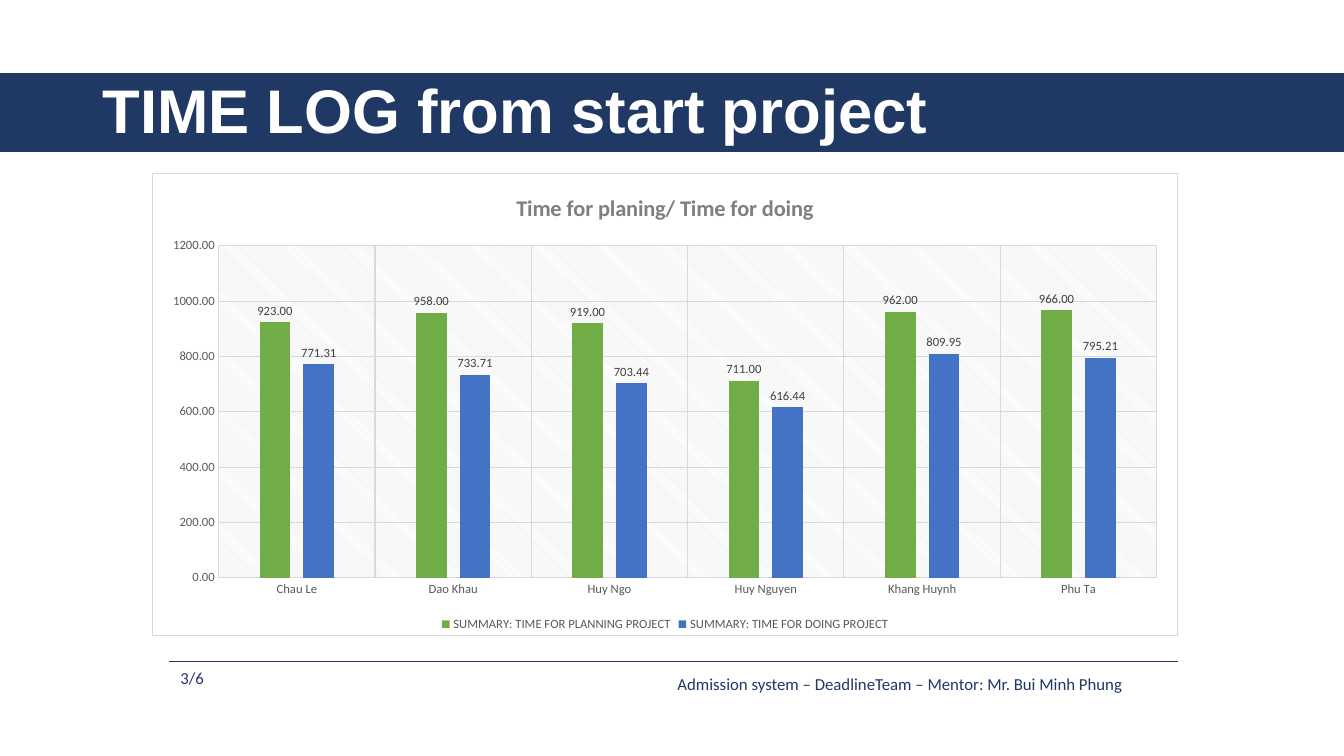
from pptx import Presentation
from pptx.chart.data import CategoryChartData
from pptx.dml.color import RGBColor
from pptx.enum.chart import XL_CHART_TYPE, XL_LABEL_POSITION, XL_LEGEND_POSITION, XL_TICK_MARK
from pptx.enum.shapes import MSO_CONNECTOR, MSO_SHAPE
from pptx.enum.text import MSO_ANCHOR, PP_ALIGN
from pptx.oxml import parse_xml
from pptx.oxml.ns import nsdecls, qn
from pptx.util import Inches, Pt

NAVY = RGBColor(0x20, 0x38, 0x64)
WHITE = RGBColor(0xFF, 0xFF, 0xFF)
BLACK = RGBColor(0, 0, 0)
GREEN = RGBColor(0x70, 0xAD, 0x47)
BLUE = RGBColor(0x44, 0x72, 0xC4)
GRID_GRAY = RGBColor(0xD9, 0xD9, 0xD9)
AXIS_GRAY = RGBColor(0x59, 0x59, 0x59)
LABEL_GRAY = RGBColor(0x40, 0x40, 0x40)
TITLE_GRAY = RGBColor(0x7F, 0x7F, 0x7F)


def set_font(font, size, color, name="Calibri", bold=False):
    font.name = name
    font.size = Pt(size)
    font.bold = bold
    font.color.rgb = color


def set_line(line, color, width):
    line.color.rgb = color
    line.width = Pt(width)


deck = Presentation()
deck.slide_width = Inches(13.33)
deck.slide_height = Inches(7.5)
page = deck.slides.add_slide(deck.slide_layouts[5])

band = page.shapes.add_shape(
    MSO_SHAPE.RECTANGLE, Inches(0), Inches(0.73), Inches(13.33), Inches(0.77))
band.shadow.inherit = False
band.fill.solid()
band.fill.fore_color.rgb = NAVY
set_line(band.line, NAVY, 1)

title = page.shapes.title
title.left, title.top = Inches(0.92), Inches(0.4)
title.width, title.height = Inches(11.5), Inches(1.45)
title.text_frame.vertical_anchor = MSO_ANCHOR.MIDDLE
para = title.text_frame.paragraphs[0]
para.alignment = PP_ALIGN.LEFT
para.line_spacing = 0.9
span = para.add_run()
span.text = "TIME LOG from start project"
set_font(span.font, 44, WHITE, "Arial", True)
band.element.addnext(title.element)

footer_rule = page.shapes.add_connector(
    MSO_CONNECTOR.STRAIGHT, Inches(1.68), Inches(6.56), Inches(11.68), Inches(6.56))
set_line(footer_rule.line, NAVY, 0.5)
footer_rule.element.spPr.append(parse_xml(f"<a:effectLst {nsdecls('a')}/>"))

footers = [
    ("Admission system – DeadlineTeam – Mentor: Mr. Bui Minh Phung", 6.62, 6.63, 5.08),
    ("3/6", 1.69, 6.58, 0.51),
]
for text, left, top, width in footers:
    box = page.shapes.add_textbox(Inches(left), Inches(top), Inches(width), Inches(0.3))
    box.text_frame.word_wrap = True
    span = box.text_frame.paragraphs[0].add_run()
    span.text = text
    set_font(span.font, 12, NAVY)

time_log = CategoryChartData(number_format="0.00")
time_log.categories = ["Chau Le", "Dao Khau", "Huy Ngo", "Huy Nguyen", "Khang Huynh", "Phu Ta"]
time_log.add_series("SUMMARY: TIME FOR PLANNING PROJECT", [923, 958, 919, 711, 962, 966])
time_log.add_series("SUMMARY: TIME FOR DOING PROJECT",
                    [771.31, 733.71, 703.44, 616.44, 809.95, 795.21])
chart = page.shapes.add_chart(
    XL_CHART_TYPE.COLUMN_CLUSTERED,
    Inches(1.51), Inches(1.72), Inches(10.17), Inches(4.59), time_log).chart
set_font(chart.font, 10, BLACK)

chart.has_title = True
span = chart.chart_title.text_frame.paragraphs[0].add_run()
span.text = "Time for planing/ Time for doing"
set_font(span.font, 16, TITLE_GRAY, bold=True)
chart.chart_title.include_in_layout = False

chart.has_legend = True
chart.legend.position = XL_LEGEND_POSITION.BOTTOM
chart.legend.include_in_layout = False
set_font(chart.legend.font, 9, AXIS_GRAY)

for axis in (chart.category_axis, chart.value_axis):
    axis.major_tick_mark = XL_TICK_MARK.NONE
    axis.minor_tick_mark = XL_TICK_MARK.NONE
    set_font(axis.tick_labels.font, 9, AXIS_GRAY)
    axis.has_major_gridlines = True
    set_line(axis.major_gridlines.format.line, GRID_GRAY, 0.75)
set_line(chart.category_axis.format.line, GRID_GRAY, 0.75)
chart.value_axis.format.line.fill.background()
chart.value_axis.minimum_scale = 0
chart.value_axis.maximum_scale = 1200
chart.value_axis.major_unit = 200
chart.value_axis.tick_labels.number_format = "0.00"
chart.value_axis.tick_labels.number_format_is_linked = False

plot = chart.plots[0]
plot.gap_width = 267
plot.overlap = -43
plot.vary_by_categories = False
for series, color in zip(plot.series, (GREEN, BLUE)):
    series.format.fill.solid()
    series.format.fill.fore_color.rgb = color
    labels = series.data_labels
    labels.show_value = True
    labels.position = XL_LABEL_POSITION.OUTSIDE_END
    labels.number_format = "0.00"
    labels.number_format_is_linked = False
    set_font(labels.font, 9, LABEL_GRAY)

chart_area = chart.element.find(qn("c:chart"))
chart_area.addnext(parse_xml(
    f'<c:spPr {nsdecls("c", "a")}><a:solidFill><a:srgbClr val="{WHITE}"/></a:solidFill>'
    f'<a:ln w="{Pt(0.75)}"><a:solidFill><a:srgbClr val="{GRID_GRAY}"/></a:solidFill></a:ln>'
    '</c:spPr>'))
chart_area.find(qn("c:plotArea")).append(parse_xml(
    f'<c:spPr {nsdecls("c", "a")}><a:pattFill prst="ltDnDiag">'
    f'<a:fgClr><a:srgbClr val="{GRID_GRAY}"/></a:fgClr>'
    f'<a:bgClr><a:srgbClr val="{WHITE}"/></a:bgClr></a:pattFill>'
    '<a:ln><a:noFill/></a:ln></c:spPr>'))

deck.save("out.pptx")
